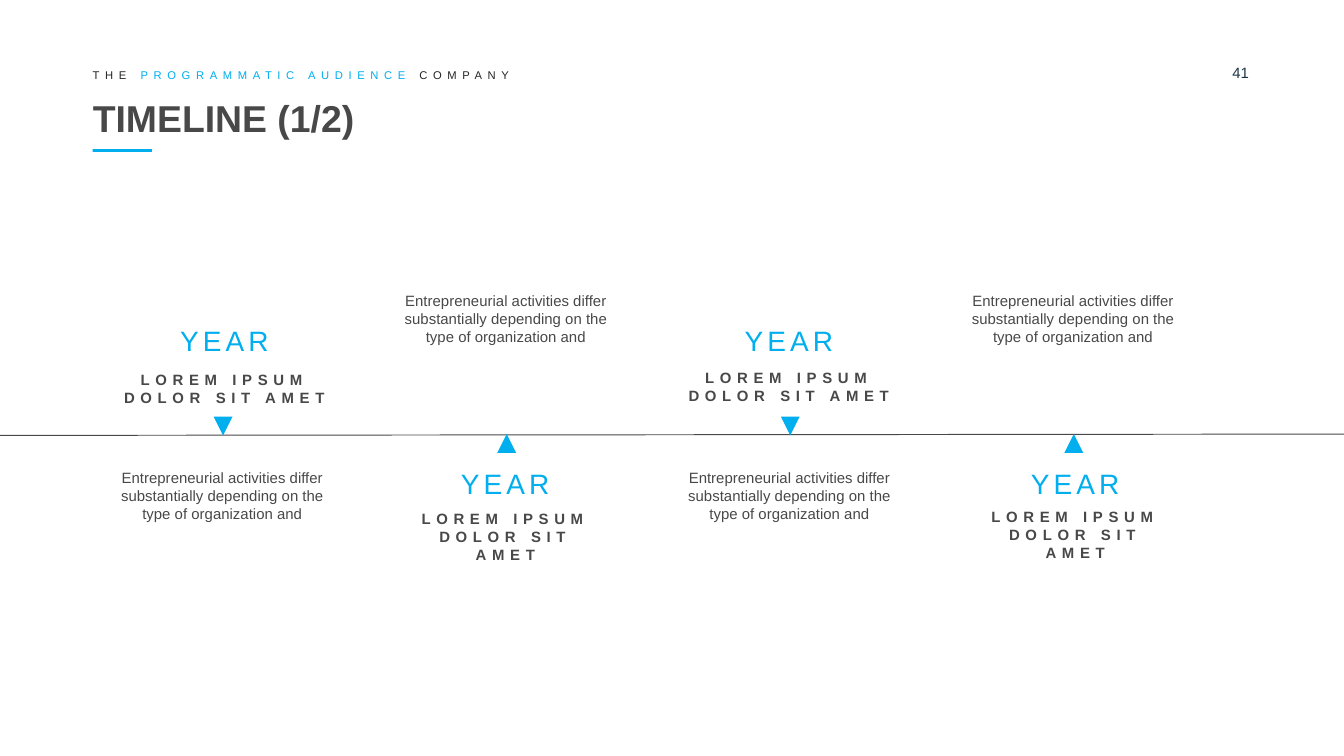
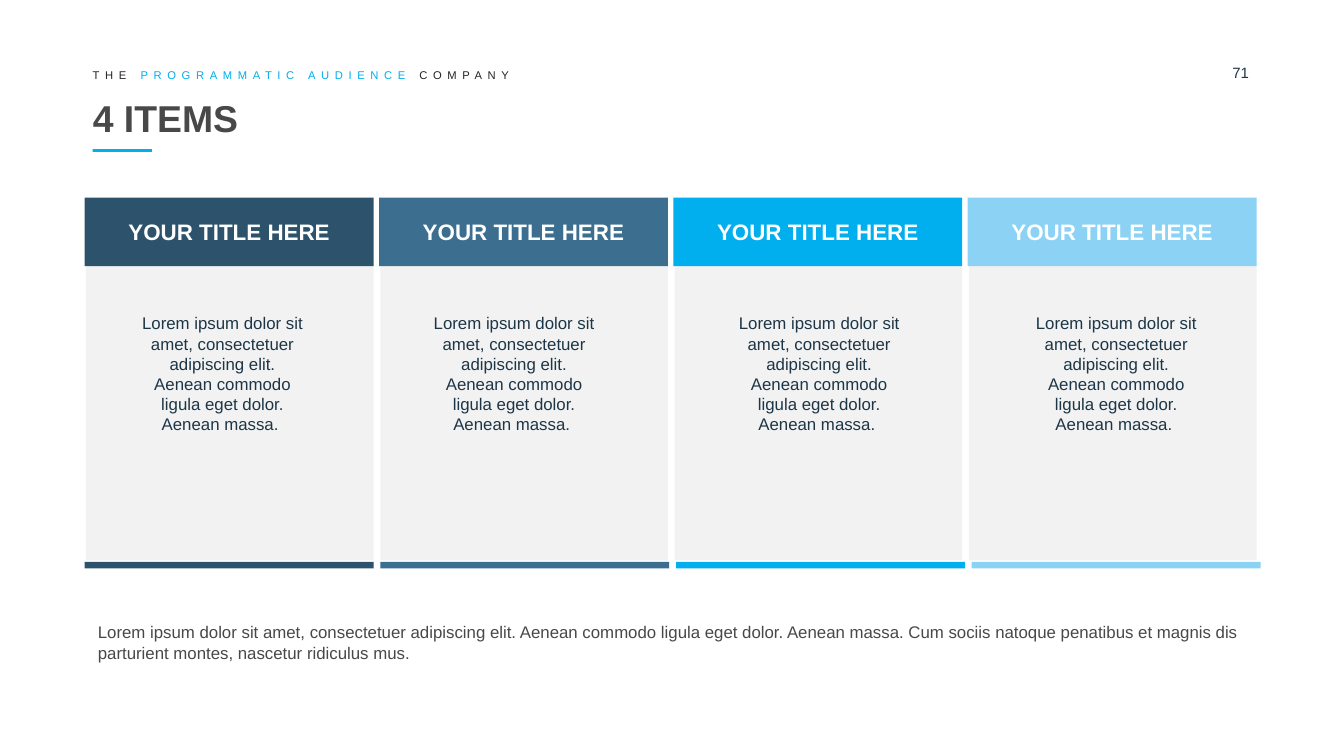
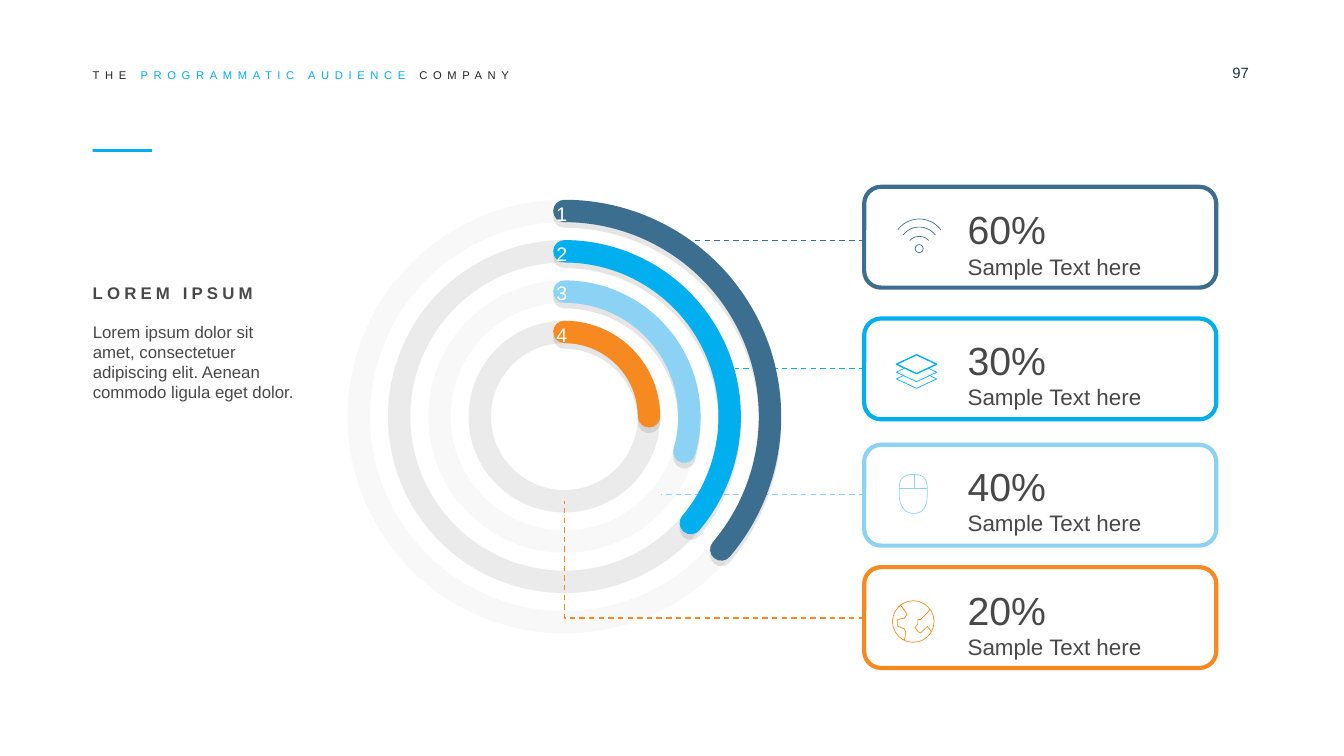
from lxml.etree import SubElement
from pptx import Presentation
from pptx.dml.color import RGBColor
from pptx.enum.dml import MSO_LINE
from pptx.enum.shapes import MSO_CONNECTOR, MSO_SHAPE
from pptx.enum.text import MSO_ANCHOR, MSO_AUTO_SIZE, PP_ALIGN
from pptx.oxml.ns import qn
from pptx.util import Inches, Pt

CYAN = RGBColor(0x01, 0xAE, 0xEE)
NAVY = RGBColor(0x2C, 0x53, 0x6B)
STEEL = RGBColor(0x3B, 0x6E, 0x8F)
SKY = RGBColor(0x8B, 0xD2, 0xF4)
ORANGE = RGBColor(0xF6, 0x89, 0x1F)
GRAY = RGBColor(0x48, 0x48, 0x48)
INK = RGBColor(0x1D, 0x36, 0x47)
BLACK = RGBColor(0x24, 0x24, 0x24)
RING_GRAY = RGBColor(0xBF, 0xBF, 0xBF)
PANEL = RGBColor(0xF2, 0xF2, 0xF2)
WHITE = RGBColor(0xFF, 0xFF, 0xFF)

FONT = "Arial"
NO_MARGINS = (0, 0, 0, 0)
BOX_MARGINS = (0.1, 0.05, 0.1, 0.05)
TITLE_LAYOUT, BLANK_LAYOUT = 5, 6
HAIRLINE = 0.37
LOREM = "Lorem ipsum dolor sit amet, consectetuer adipiscing elit. Aenean commodo ligula eget dolor."


def write(frame, text, size=9, color=GRAY, bold=False, align=PP_ALIGN.LEFT, spacing=0):
    """Add a paragraph; text is a string or a list of (string, color) runs."""
    paragraph = frame.paragraphs[0]
    if paragraph.runs:
        paragraph = frame.add_paragraph()
    paragraph.alignment = align
    runs = [(text, color)] if isinstance(text, str) else text
    for words, run_color in runs:
        run = paragraph.add_run()
        run.text = words
        run.font.name = FONT
        run.font.size = Pt(size)
        run.font.bold = bold
        run.font.color.rgb = run_color
        if spacing:
            run._r.get_or_add_rPr().set("spc", str(round(spacing * 100)))


def set_frame(frame, margins, anchor, wrap=True):
    frame.auto_size = MSO_AUTO_SIZE.NONE
    frame.word_wrap = wrap
    frame.vertical_anchor = anchor
    (frame.margin_left, frame.margin_top,
     frame.margin_right, frame.margin_bottom) = map(Inches, margins)


def curve(start, control_1, control_2, end, steps=12):
    """Return points along a cubic curve, without its start."""
    points = []
    for step in range(1, steps + 1):
        t = step / steps
        weights = ((1 - t) ** 3, 3 * t * (1 - t) ** 2, 3 * t * t * (1 - t), t ** 3)
        corners = (start, control_1, control_2, end)
        points.append(tuple(sum(w * corner[axis] for w, corner in zip(weights, corners))
                            for axis in (0, 1)))
    return points


class Deck:
    def __init__(self):
        self.presentation = Presentation()
        self.presentation.slide_width = Inches(10)
        self.presentation.slide_height = Inches(10) * 9 // 16
        self.slide = None

    def new_slide(self, number, title=None):
        layout = TITLE_LAYOUT if title else BLANK_LAYOUT
        self.slide = self.presentation.slides.add_slide(
            self.presentation.slide_layouts[layout])
        if title:
            self.title(title)
        self.text(str(number), 9.17, 0.47, 0.43, 0.16, size=8, color=INK)
        tagline = [("THE ", BLACK), ("PROGRAMMATIC AUDIENCE ", CYAN), ("COMPANY", BLACK)]
        self.text(tagline, 0.69, 0.51, 7.17, 0.1, anchor=MSO_ANCHOR.MIDDLE, size=6, spacing=3)

    def add_master_accent(self):
        """Put the accent bar on the master, so that every slide shows it."""
        bar = self.shape(MSO_SHAPE.RECTANGLE, 0.69, 1.11, 0.44, 0.02, fill=CYAN)
        self.presentation.slide_master.shapes._spTree.append(bar._element)

    def title(self, text):
        title = self.slide.shapes.title
        title.left, title.top, title.width, title.height = map(Inches, (0.69, 0.69, 8.62, 0.37))
        set_frame(title.text_frame, NO_MARGINS, MSO_ANCHOR.MIDDLE)
        write(title.text_frame, text, size=20, bold=True)

    def text(self, text, left, top, width, height, margins=NO_MARGINS,
             anchor=MSO_ANCHOR.TOP, wrap=True, **style):
        box = self.slide.shapes.add_textbox(*map(Inches, (left, top, width, height)))
        set_frame(box.text_frame, margins, anchor, wrap)
        write(box.text_frame, text, **style)
        return box.text_frame

    def paint(self, shape, fill=None, line=None, weight=1):
        shape.shadow.inherit = False
        if fill is None:
            shape.fill.background()
        else:
            shape.fill.solid()
            shape.fill.fore_color.rgb = fill
        if line is None:
            shape.line.fill.background()
        else:
            shape.line.color.rgb = line
            shape.line.width = Pt(weight)
        return shape

    def shape(self, kind, left, top, width, height, **look):
        shape = self.slide.shapes.add_shape(kind, *map(Inches, (left, top, width, height)))
        return self.paint(shape, **look)

    def outline(self, points, color, weight=HAIRLINE, closed=False):
        points = [(Inches(x), Inches(y)) for x, y in points]
        builder = self.slide.shapes.build_freeform(*points[0])
        builder.add_line_segments(points[1:], close=closed)
        return self.paint(builder.convert_to_shape(), line=color, weight=weight)

    def line(self, x1, y1, x2, y2, color, weight, dashed=False):
        connector = self.slide.shapes.add_connector(
            MSO_CONNECTOR.STRAIGHT, *map(Inches, (x1, y1, x2, y2)))
        connector.line.color.rgb = color
        connector.line.width = Pt(weight)
        if dashed:
            connector.line.dash_style = MSO_LINE.DASH
        SubElement(connector._element.spPr, qn("a:effectLst"))

    def ring(self, left, top, size, opacity):
        ring = self.shape(MSO_SHAPE.OVAL, left, top, size, size, line=RING_GRAY, weight=12)
        color = ring._element.spPr.find(qn("a:ln")).find(".//" + qn("a:srgbClr"))
        SubElement(color, qn("a:alpha"), val=str(opacity * 1000))

    def arc(self, left, top, size, end_degrees, color):
        """Draw a round-capped arc from twelve o'clock with a soft shadow."""
        arc = self.shape(MSO_SHAPE.ARC, left, top, size, size, line=color, weight=12)
        arc.adjustments[0] = 270 * 0.6
        arc.adjustments[1] = end_degrees * 0.6
        properties = arc._element.spPr
        properties.find(qn("a:ln")).set("cap", "rnd")
        shadow = SubElement(properties.find(qn("a:effectLst")), qn("a:outerShdw"),
                            blurRad="0", dist=str(Pt(3)), dir="5400000",
                            algn="t", rotWithShape="0")
        shadow_color = SubElement(shadow, qn("a:srgbClr"), val="000000")
        SubElement(shadow_color, qn("a:alpha"), val="10000")


def timeline_slide(deck):
    deck.new_slide(41, "TIMELINE (1/2)")
    deck.line(0, 3.24, 10, 3.23, GRAY, 0.5)
    # year left, heading left, heading top, heading width, heading above the line
    stops = [(1.32, 0.9, 2.76, 1.54, True), (3.41, 3.07, 3.79, 1.38, False),
             (5.52, 5.1, 2.74, 1.54, True), (7.65, 7.31, 3.78, 1.38, False)]
    for index, (year_left, left, top, width, above) in enumerate(stops):
        shift = 2.11 * index
        marker = deck.shape(MSO_SHAPE.ISOSCELES_TRIANGLE, 1.59 + shift,
                            3.1 if above else 3.23, 0.14, 0.14, fill=CYAN)
        marker.rotation = 180 if above else 0
        deck.text("Entrepreneurial activities differ substantially depending on "
                  "the type of organization and", 0.84 + shift, 3.49 if above else 2.17,
                  1.63, 0.4, size=8, align=PP_ALIGN.CENTER)
        deck.text("YEAR", year_left, 2.41 if above else 3.47, 0.7, 0.25, wrap=False,
                  size=15, color=CYAN, spacing=2.2, align=PP_ALIGN.CENTER)
        deck.text("LOREM IPSUM DOLOR SIT AMET", left, top, width, 0.23 if above else 0.4,
                  size=8, bold=True, spacing=3, align=PP_ALIGN.CENTER)


def items_slide(deck):
    deck.new_slide(71, "4 ITEMS")
    columns = zip((NAVY, STEEL, CYAN, SKY), (0.94, 3.11, 5.38, 7.59))
    for index, (color, text_left) in enumerate(columns):
        left = 0.63 + 2.19 * index
        deck.shape(MSO_SHAPE.RECTANGLE, left + 0.01, 1.96, 2.14, 2.21, fill=PANEL)
        header = deck.shape(MSO_SHAPE.RECTANGLE, left, 1.47, 2.15, 0.51, fill=color)
        set_frame(header.text_frame, BOX_MARGINS, MSO_ANCHOR.MIDDLE)
        write(header.text_frame, "YOUR TITLE HERE", size=12, color=WHITE, bold=True,
              align=PP_ALIGN.CENTER)
        deck.shape(MSO_SHAPE.RECTANGLE, 0.63 + 2.2 * index, 4.18, 2.15, 0.05, fill=color)
        deck.text(LOREM + " Aenean massa. ", text_left, 2.28, 1.43, 1.01,
                  margins=BOX_MARGINS, color=INK, align=PP_ALIGN.CENTER)
    deck.text(LOREM + " Aenean massa. Cum sociis natoque penatibus et magnis dis "
              "parturient montes, nascetur ridiculus mus.", 0.63, 4.58, 8.74, 0.4,
              margins=BOX_MARGINS)


def wifi_icon(deck, color):
    center = 6.84
    deck.shape(MSO_SHAPE.OVAL, 6.81, 1.82, 0.06, 0.06, line=color, weight=HAIRLINE)
    for half, base, top in ((0.07, 1.79, 1.76), (0.12, 1.75, 1.69), (0.16, 1.71, 1.63)):
        start, peak, end = (center - half, base), (center, top), (center + half, base)
        shoulder = base - 0.65 * (base - top)
        rise = curve(start, (center - 0.75 * half, shoulder), (center - 0.4 * half, top), peak)
        fall = curve(peak, (center + 0.4 * half, top), (center + 0.75 * half, shoulder), end)
        deck.outline([start] + rise + fall, color)


def layers_icon(deck, color):
    left, center, right = 6.67, 6.82, 6.97
    deck.outline([(center, 2.64), (left, 2.71), (center, 2.78), (right, 2.71)],
                 color, 0.75, closed=True)
    for top in (2.74, 2.79):
        deck.outline([(6.91, top), (right, top + 0.03), (center, top + 0.1),
                      (left, top + 0.03), (6.73, top)], color)


def mouse_icon(deck, color):
    right, bottom, left, top = (6.9, 3.67), (6.8, 3.82), (6.69, 3.67), (6.8, 3.53)
    body = (curve(right, (6.9, 3.75), (6.88, 3.82), bottom)
            + curve(bottom, (6.72, 3.82), (6.69, 3.75), left)
            + curve(left, (6.69, 3.59), (6.69, 3.53), top)
            + curve(top, (6.9, 3.53), (6.9, 3.59), right))
    deck.outline(body, color, closed=True)
    deck.line(6.8, 3.53, 6.8, 3.63, color, HAIRLINE)
    deck.line(6.69, 3.63, 6.9, 3.63, color, HAIRLINE)


def globe_icon(deck, color):
    deck.shape(MSO_SHAPE.OVAL, 6.64, 4.47, 0.31, 0.31, line=color, weight=HAIRLINE)
    deck.outline([(6.7, 4.5), (6.75, 4.57), (6.73, 4.6), (6.68, 4.61), (6.68, 4.66),
                  (6.73, 4.68), (6.74, 4.71), (6.73, 4.76), (6.72, 4.76)], color)
    deck.outline([(6.92, 4.53), (6.9, 4.56), (6.85, 4.61), (6.83, 4.61), (6.83, 4.64),
                  (6.81, 4.67), (6.83, 4.7), (6.85, 4.71), (6.88, 4.68), (6.9, 4.66),
                  (6.93, 4.7)], color)


def rings_slide(deck):
    deck.new_slide(97)
    # percent, card top, text top, color, icon
    cards = [("60%", 1.39, 1.49, STEEL, wifi_icon), ("30%", 2.37, 2.46, CYAN, layers_icon),
             ("40%", 3.31, 3.4, SKY, mouse_icon), ("20%", 4.22, 4.32, ORANGE, globe_icon)]
    for percent, top, text_top, color, draw_icon in cards:
        deck.shape(MSO_SHAPE.ROUNDED_RECTANGLE, 6.43, top, 2.62, 0.75, line=color, weight=2.25)
        frame = deck.text(percent, 7, text_top, 1.96, 0.67,
                          margins=(0.2, 0.04, 0.2, 0.08), size=21)
        write(frame, "Sample Text here", size=12)
        draw_icon(deck, color)

    rings = [(2.67 + 0.3 * index, 1.57 + 0.3 * index, 3.06 - 0.6 * index)
             for index in range(4)]
    for ring, opacity in zip(rings, (10, 30, 10, 30)):
        deck.ring(*ring, opacity)

    for y, end, color in ((1.79, 5.15, STEEL), (2.74, 5.47, CYAN), (3.68, 4.92, SKY)):
        deck.line(6.43, y, end, y, color, 0.75, dashed=True)
    elbow = deck.outline([(6.43, 4.6), (4.2, 4.6), (4.2, 3.73)], ORANGE, 0.75)
    elbow.line.dash_style = MSO_LINE.DASH

    arcs = zip(rings, (40.28, 40.11, 16.32, 359.82), (STEEL, CYAN, SKY, ORANGE),
               (1.46, 1.76, 2.05, 2.36))
    for number, (ring, end_degrees, color, number_top) in enumerate(arcs, start=1):
        deck.arc(*ring, end_degrees, color)
        deck.text(str(number), 4.07, number_top, 0.23, 0.25, wrap=False,
                  margins=(0.07, 0.04, 0.07, 0.04), size=10.5, color=WHITE)

    deck.text("LOREM IPSUM", 0.69, 2.1, 1.24, 0.15, anchor=MSO_ANCHOR.MIDDLE, wrap=False,
              bold=True, spacing=2.2)
    deck.text(LOREM, 0.69, 2.39, 1.52, 0.61)


def main():
    deck = Deck()
    timeline_slide(deck)
    items_slide(deck)
    rings_slide(deck)
    deck.add_master_accent()
    deck.presentation.save("out.pptx")


if __name__ == "__main__":
    main()
